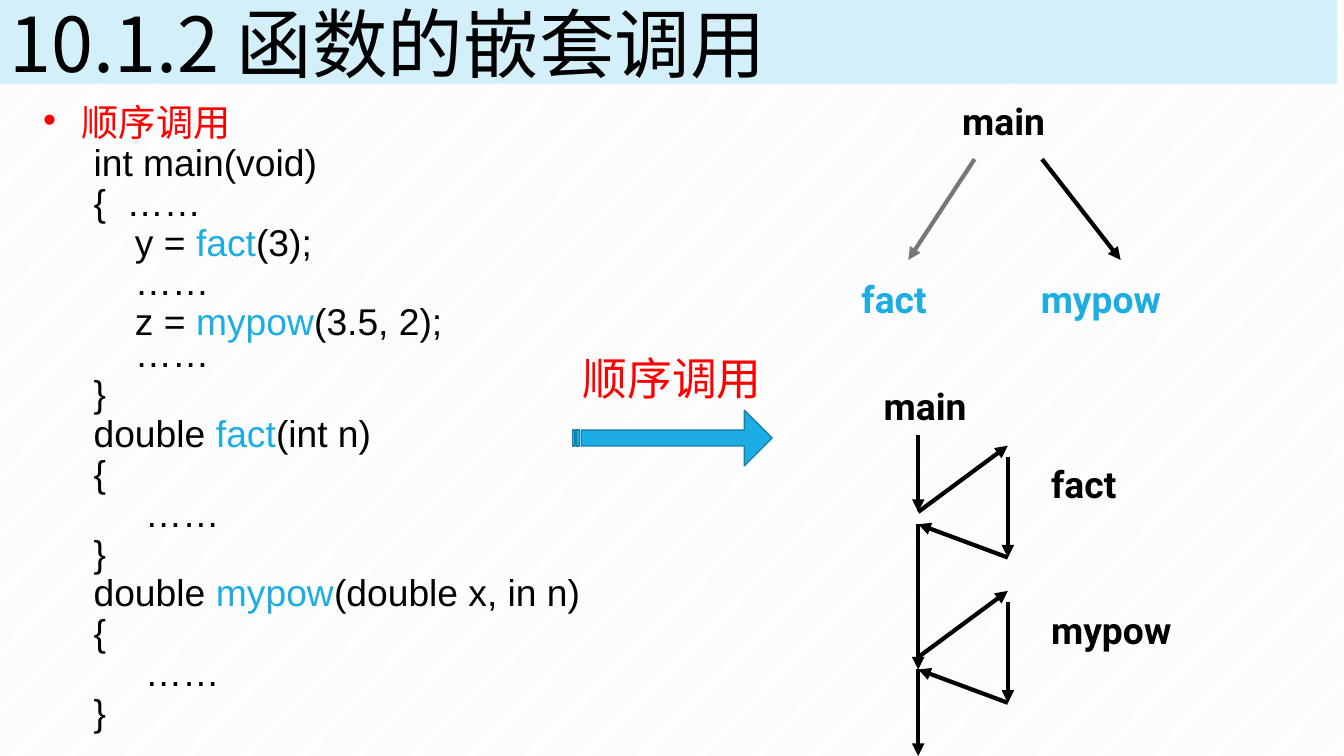
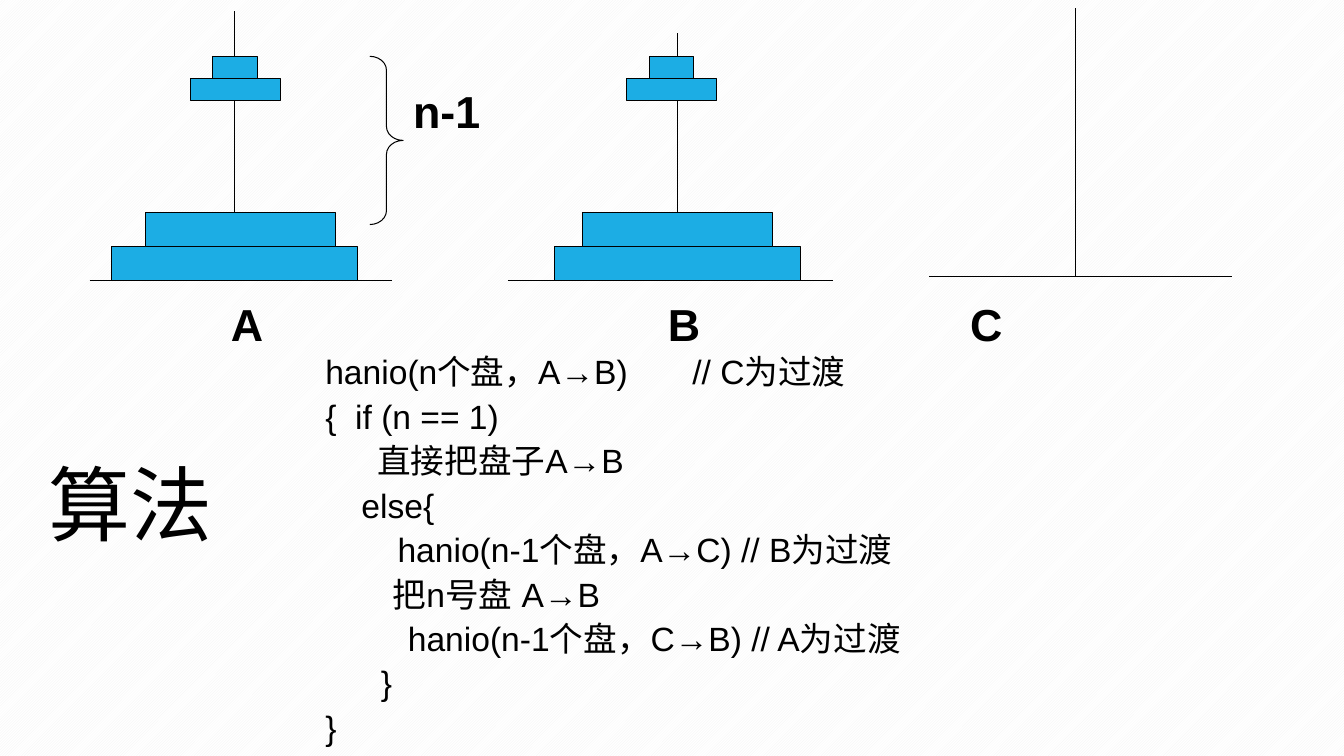
from lxml.etree import SubElement
from pptx import Presentation
from pptx.dml.color import RGBColor
from pptx.enum.dml import MSO_PATTERN
from pptx.enum.shapes import MSO_CONNECTOR, MSO_SHAPE
from pptx.enum.text import MSO_ANCHOR, PP_ALIGN
from pptx.oxml.ns import qn
from pptx.util import Cm, Pt

BLACK, WHITE, RED, BLUE = "000000", "FFFFFF", "FF0000", "1CADE4"
BAND, STRIPE, DARK_BLUE = "D2EFFA", "F2F2F2", "1580A9"
SANS, CJK, LABEL = "Arial", "Noto Sans CJK SC", "Roboto"


def color(value):
    return RGBColor.from_string(value)


class Deck:
    """Holds the shared style and the slide being drawn; lengths are in centimetres."""

    def __init__(self):
        self.presentation = Presentation()
        self.presentation.slide_width = Cm(33.87)
        self.presentation.slide_height = Cm(19.05)
        self.slide = None

    def new_slide(self):
        self.slide = self.presentation.slides.add_slide(self.presentation.slide_layouts[6])
        fill = self.slide.background.fill
        fill.patterned()
        fill.pattern = MSO_PATTERN.LIGHT_UPWARD_DIAGONAL
        fill.fore_color.rgb = color(STRIPE)
        fill.back_color.rgb = color(WHITE)

    def shape(self, kind, left, top, width, height, fill=None, line=None,
              line_width=0.75, adjustments=()):
        shape = self.slide.shapes.add_shape(kind, Cm(left), Cm(top), Cm(width), Cm(height))
        shape.shadow.inherit = False
        if fill:
            shape.fill.solid()
            shape.fill.fore_color.rgb = color(fill)
        else:
            shape.fill.background()
        if line:
            shape.line.color.rgb = color(line)
            shape.line.width = Pt(line_width)
        else:
            shape.line.fill.background()
        for index, value in enumerate(adjustments):
            shape.adjustments[index] = value
        return shape

    def line(self, start, end, width=0.75):
        points = [Cm(value) for value in (*start, *end)]
        connector = self.slide.shapes.add_connector(MSO_CONNECTOR.STRAIGHT, *points)
        connector.line.color.rgb = color(BLACK)
        connector.line.width = Pt(width)
        SubElement(connector._element.spPr, qn("a:effectLst"))
        return connector

    def arrow(self, start, end, opacity=None):
        connector = self.line(start, end, 3)
        outline = connector.line._get_or_add_ln()
        SubElement(outline, qn("a:tailEnd"), type="triangle")
        if opacity:
            rgb = outline.find(f".//{qn('a:srgbClr')}")
            SubElement(rgb, qn("a:alpha"), val=str(opacity * 1000))

    def run(self, paragraph, text, size, font, fill, bold=False):
        run = paragraph.add_run()
        run.text = text
        run.font.size = Pt(size)
        run.font.name = font
        run.font.bold = bold
        run.font.color.rgb = color(fill)
        SubElement(run._r.get_or_add_rPr(), qn("a:ea"), typeface=font)

    def wide_margins(self, frame):
        frame.margin_left = frame.margin_right = Cm(0.33)
        frame.margin_top = frame.margin_bottom = Cm(0.18)

    def text_box(self, left, top, width, height):
        frame = self.slide.shapes.add_textbox(
            Cm(left), Cm(top), Cm(width), Cm(height)).text_frame
        frame.word_wrap = True
        return frame

    def title_band(self, text):
        frame = self.shape(MSO_SHAPE.RECTANGLE, -0.08, 0, 33.78, 2.11, BAND).text_frame
        self.wide_margins(frame)
        frame.vertical_anchor = MSO_ANCHOR.MIDDLE
        frame.paragraphs[0].alignment = PP_ALIGN.LEFT
        self.run(frame.paragraphs[0], text, 54, CJK, BLACK)

    def side_title(self, text, *box):
        frame = self.text_box(*box)
        self.wide_margins(frame)
        frame.vertical_anchor = MSO_ANCHOR.MIDDLE
        frame.paragraphs[0].alignment = PP_ALIGN.CENTER
        self.run(frame.paragraphs[0], text, 58.6, SANS, BLACK)

    def label(self, text, left, top, width, size=26.6, font=LABEL, fill=BLACK, bold=True):
        frame = self.text_box(left, top, width, 1.4 if size < 30 else 1.63)
        self.run(frame.paragraphs[0], text, size, font, fill, bold)

    def code(self, box, lines, size, spacing, gap, heading=None, base=0, tab=None):
        """Each line is an indent and its runs; a tuple is a highlighted run."""
        frame = self.text_box(*box)
        self.wide_margins(frame)
        paragraphs = []

        def add_paragraph(indent):
            paragraph = frame.add_paragraph() if paragraphs else frame.paragraphs[0]
            paragraphs.append(paragraph)
            paragraph.line_spacing = spacing
            paragraph.space_before = Pt(gap)
            properties = paragraph._p.get_or_add_pPr()
            properties.set("marL", str(Cm(indent)))
            return paragraph, properties

        if heading:
            paragraph, properties = add_paragraph(0.97)
            properties.set("indent", str(-Cm(0.97)))
            SubElement(properties, qn("a:buFont"), typeface=SANS)
            SubElement(properties, qn("a:buChar"), char="•")
            self.run(paragraph, heading, size, CJK, RED)
        for indent, *runs in lines:
            paragraph, properties = add_paragraph(base + indent)
            if tab:
                stops = SubElement(properties, qn("a:tabLst"))
                SubElement(stops, qn("a:tab"), pos=str(Cm(tab)), algn="l")
            for item in runs:
                if item == "\n":
                    paragraph.add_line_break()
                elif isinstance(item, tuple):
                    self.run(paragraph, item[0], size, SANS, BLUE)
                else:
                    self.run(paragraph, item, size, SANS, BLACK)


def nested_calls(deck):
    deck.new_slide()
    deck.title_band("10.1.2 函数的嵌套调用")
    statement, body = 1.04, 1.3
    deck.code((0.76, 2.62, 18.67, 16.43), [
        (0, "int main(void)"),
        (0, "{  ……"),
        (statement, "y = ", ("fact",), "(3);"),
        (statement, "……"),
        (statement, "z = ", ("mypow",), "(3.5, 2);", "\n", "……"),
        (0, "}"),
        (0, "double ", ("fact",), "(int n)"),
        (0, "{"),
        (body, "……"),
        (0, "}"),
        (0, "double ", ("mypow",), "(double x, in n)"),
        (0, "{"),
        (body, "……"),
        (0, "}"),
    ], size=26.6, spacing=0.7, gap=6.2, heading="顺序调用", base=1.27)

    deck.label("main", 24, 2.34, 3.66)
    deck.label("fact", 21.46, 6.83, 2.54, fill=BLUE)
    deck.label("mypow", 25.98, 6.83, 4.8, fill=BLUE)
    deck.arrow((24.56, 4.01), (22.89, 6.55), opacity=52)
    deck.arrow((26.26, 4.01), (28.24, 6.55))

    main_x, called_x, step = 23.14, 25.4, 3.66
    deck.label("main", 22.02, 9.53, 3.66)
    resume = 10.95
    for index, name in enumerate(("fact", "mypow")):
        call = 12.9 + index * step
        back = call + 0.31
        deck.arrow((main_x, resume), (main_x, back if index else call))
        deck.arrow((main_x, call), (called_x, call - 1.67))
        deck.arrow((called_x, call - 1.39), (called_x, call + 1.15))
        deck.arrow((called_x, call + 1.15), (main_x, back))
        deck.label(name, 26.24, call - 1.39, 4.52)
        resume = back
    deck.arrow((main_x, resume), (main_x, 19.05))

    deck.label("顺序调用", 14.43, 8.71, 5.03, 32, CJK, RED, bold=False)
    deck.shape(MSO_SHAPE.STRIPED_RIGHT_ARROW, 14.43, 10.34, 5.03, 1.4,
               BLUE, DARK_BLUE, 1, (0.285, 0.5))


def hanoi_algorithm(deck):
    deck.new_slide()
    deck.side_title("算法", 0.61, 11.13, 5.36, 3.1)
    deck.code((7.87, 8.79, 25.37, 9.55), [
        (0, "hanio(n个盘，A→B)\t// C为过渡"),
        (0, "{  if (n == 1)"),
        (1.31, "直接把盘子A→B"),
        (0.91, "else{"),
        (1.82, "hanio(n-1个盘，A→C) // B为过渡"),
        (1.7, "把n号盘 A→B"),
        (2.08, "hanio(n-1个盘，C→B) // A为过渡"),
        (1.4, "}"),
        (0, "}"),
    ], size=24, spacing=0.9, gap=5.8, tab=9.25)

    disks = [(6.22, 6.2, 0.84), (5.36, 4.8, 0.86), (1.98, 2.26, 0.56), (1.42, 1.12, 0.56)]
    towers = [
        # name, label left, base left, base right, floor, pole x, pole top, disk lefts
        ("A", 5.57, 2.26, 9.88, 7.06, 5.92, 0.28, (2.82, 3.66, 4.8, 5.36)),
        ("B", 16.58, 12.8, 20.98, 7.06, 17.02, 0.84, (13.97, 14.68, 15.8, 16.36)),
        ("C", 24.2, 23.42, 31.04, 6.96, 27.1, 0.2, ()),
    ]
    for name, label_left, left, right, floor, pole_x, pole_top, disk_lefts in towers:
        deck.line((left, floor), (right, floor))
        pole = deck.line((pole_x, floor), (pole_x, pole_top))
        placed = [
            deck.shape(MSO_SHAPE.RECTANGLE, disk_left, top, width, height, BLUE, BLACK)
            for disk_left, (top, width, height) in zip(disk_lefts, disks)
        ]
        if placed:
            pole.begin_connect(placed[0], 2)
            pole.end_x = pole.begin_x
        deck.label(name, label_left, 7.34, 1.8, 32, SANS)

    deck.shape(MSO_SHAPE.RIGHT_BRACE, 9.32, 1.42, 0.84, 4.24,
               line=BLACK, adjustments=(0.417, 0.5))
    deck.label("n-1", 10.16, 1.98, 3.71, 32, SANS)


def main():
    deck = Deck()
    nested_calls(deck)
    hanoi_algorithm(deck)
    deck.presentation.save("out.pptx")


if __name__ == "__main__":
    main()
